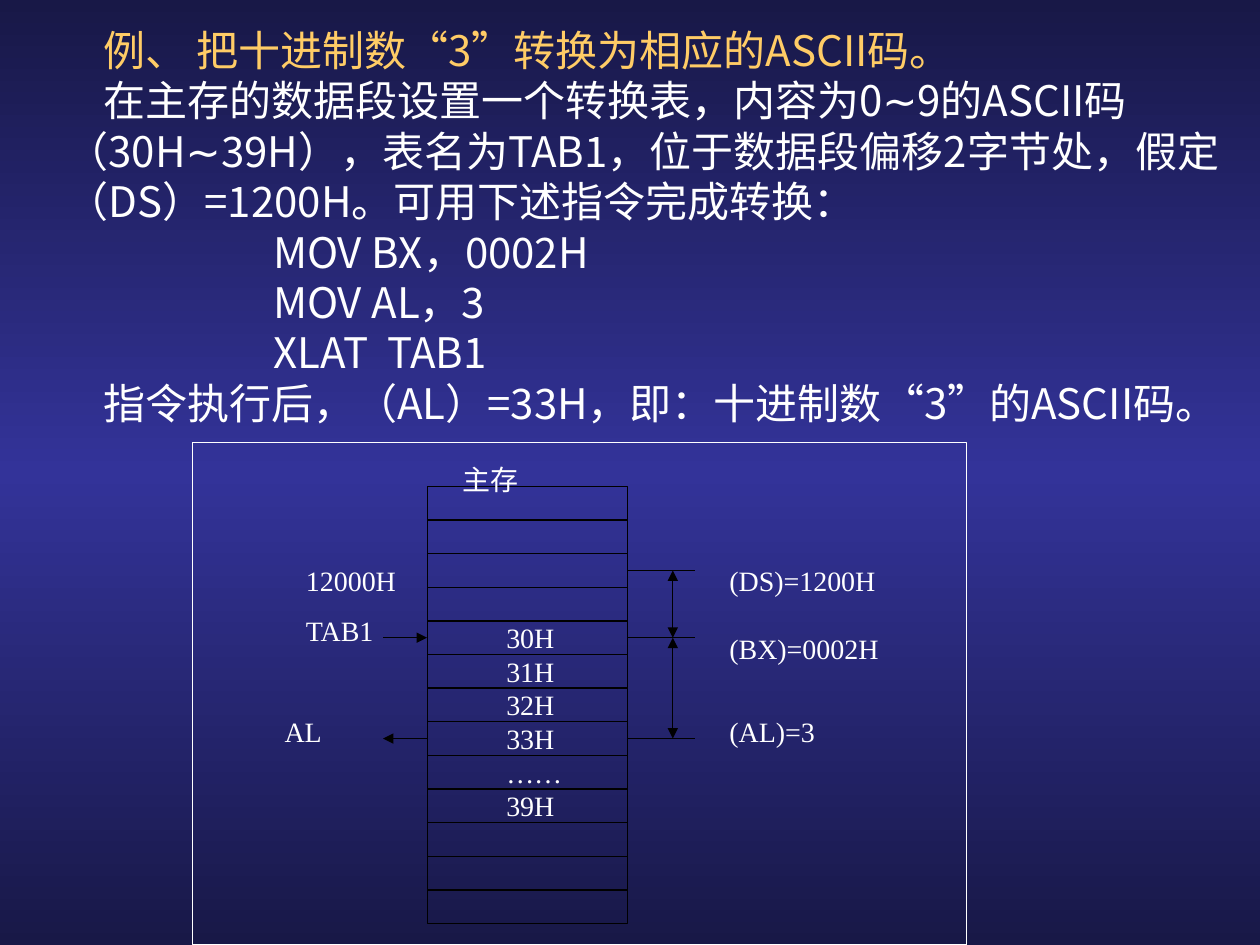
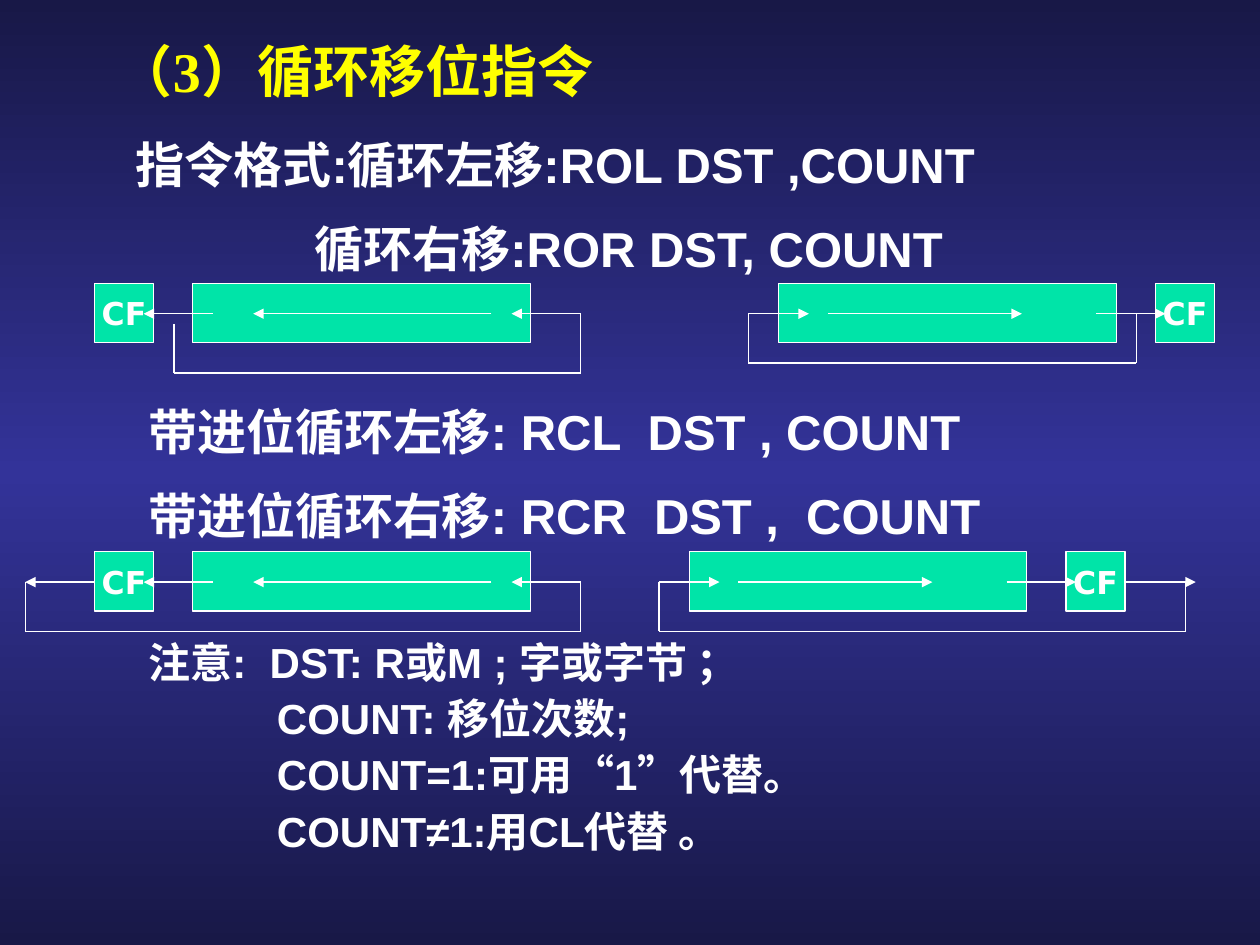
from copy import deepcopy
from itertools import groupby

from lxml.etree import SubElement
from pptx import Presentation
from pptx.dml.color import RGBColor
from pptx.enum.shapes import MSO_CONNECTOR, MSO_SHAPE
from pptx.enum.text import MSO_ANCHOR, PP_ALIGN
from pptx.oxml.ns import qn
from pptx.util import Inches, Pt

NAVY = RGBColor(0x18, 0x18, 0x47)
INDIGO = RGBColor(0x33, 0x33, 0x99)
WHITE = RGBColor(0xFF, 0xFF, 0xFF)
BLACK = RGBColor(0x00, 0x00, 0x00)
GOLD = RGBColor(0xFF, 0xCC, 0x66)
YELLOW = RGBColor(0xFF, 0xFF, 0x00)
GREEN = RGBColor(0x00, 0xE4, 0xA8)

SANS = "Arial"
SERIF = "Times New Roman"
CHINESE = "Noto Sans CJK JP"
LABEL = "DejaVu Sans"
LINE_RATIO = 1.2
LINE_WIDTH = Pt(0.75)

ROW_COUNT = 13
FIRST_VALUE_ROW = 4
TABLE_VALUES = ["30H", "31H", "32H", "33H", "……", "39H"]

RIGHT_ARROWS = [(-0.24, 0.24), (0.39, 1.93), (2.52, 3.07)]
LEFT_ARROWS = [(0.16, -0.39), (2.37, 0.48), (3.08, 2.53)]


def set_background(master):
    fill = master.background.fill
    fill.gradient()
    fill.gradient_angle = 90
    for stop in fill.gradient_stops:
        stop.color.rgb = NAVY
    stop_list = master.element.find(".//" + qn("a:gsLst"))
    stop_list.insert(1, deepcopy(stop_list[0]))
    stops = fill.gradient_stops
    for stop, position in zip(stops, (0, 0.5, 1)):
        stop.position = position
    stops[1].color.rgb = INDIGO


def format_run(run, size, font_name, color, bold=False):
    run.font.size = Pt(size)
    run.font.name = font_name
    run.font.bold = bold
    run.font.color.rgb = color
    east_asian = SubElement(run.font._element, qn("a:ea"))
    east_asian.set("typeface", CHINESE)


def add_text(slide, box, lines, size, font_name, color=WHITE, bold=False,
             indents=None, first_indent=0, space_before=0, line_factor=1,
             quote_font=None):
    text_box = slide.shapes.add_textbox(*map(Inches, box))
    frame = text_box.text_frame
    frame.word_wrap = True
    frame.margin_top = Inches(0.08)
    for index, line in enumerate(lines):
        paragraph = frame.paragraphs[0] if index == 0 else frame.add_paragraph()
        paragraph.line_spacing = Pt(size * LINE_RATIO * line_factor)
        paragraph.space_before = Pt(space_before if index else 0)
        left_indent = indents[index] if indents else 0
        properties = paragraph._p.get_or_add_pPr()
        properties.set("marL", str(Inches(left_indent)))
        properties.set("indent", str(0 if left_indent else Inches(first_indent)))
        for is_quote, characters in groupby(line, lambda letter: letter in "“”"):
            run = paragraph.add_run()
            run.text = "".join(characters)
            name = quote_font if is_quote and quote_font else font_name
            format_run(run, size, name, color, bold)
    return text_box


def add_box(slide, box, line_color, fill_color=None):
    shape = slide.shapes.add_shape(MSO_SHAPE.RECTANGLE, *map(Inches, box))
    shape.shadow.inherit = False
    if fill_color is None:
        shape.fill.background()
    else:
        shape.fill.solid()
        shape.fill.fore_color.rgb = fill_color
    shape.line.color.rgb = line_color
    shape.line.width = LINE_WIDTH
    return shape


def add_line(slide, start, end, color, arrows=()):
    connector = slide.shapes.add_connector(
        MSO_CONNECTOR.STRAIGHT, *map(Inches, (*start, *end)))
    connector.line.color.rgb = color
    connector.line.width = LINE_WIDTH
    line = connector.line._get_or_add_ln()
    for arrow in arrows:
        SubElement(line, qn("a:" + arrow)).set("type", "triangle")
    SubElement(connector._element.spPr, qn("a:effectLst"))


def add_example(slide, box):
    lines = [
        "例、 把十进制数“3”转换为相应的ASCII码。",
        "在主存的数据段设置一个转换表，内容为0∼9的ASCII码（30H∼39H），"
        "表名为TAB1，位于数据段偏移2字节处，假定（DS）=1200H。可用下述指令完成转换：",
        "MOV BX，0002H",
        "MOV AL，3",
        "XLAT  TAB1",
        "指令执行后，（AL）=33H，即：十进制数“3”的ASCII码。",
    ]
    text_box = add_text(slide, box, lines, 24, CHINESE, first_indent=0.29,
                        indents=[0, 0, 1.64, 1.64, 1.64, 0], quote_font=SANS)
    text_box.text_frame.vertical_anchor = MSO_ANCHOR.MIDDLE
    for run in text_box.text_frame.paragraphs[0].runs:
        run.font.color.rgb = GOLD


def add_memory_diagram(slide, box):
    left, top, _, _ = box
    add_box(slide, box, WHITE)
    memory_left, memory_top = left + 1.86, top + 0.35
    memory_width, memory_height = 1.59, 3.47
    memory_right = memory_left + memory_width
    row_height = memory_height / ROW_COUNT
    add_box(slide, (memory_left, memory_top, memory_width, memory_height), BLACK)
    for row in range(1, ROW_COUNT):
        y = memory_top + row * row_height
        add_line(slide, (memory_left, y), (memory_right, y), BLACK)

    segment_y, table_y, result_y = (
        memory_top + rows * row_height for rows in (2.5, 4.5, 7.5))
    pointer_left = memory_left - 0.35
    add_line(slide, (pointer_left, table_y), (memory_left, table_y), BLACK, ["tailEnd"])
    add_line(slide, (memory_left, result_y), (pointer_left, result_y), BLACK, ["tailEnd"])
    for y in (segment_y, table_y, result_y):
        add_line(slide, (memory_right, y), (memory_right + 0.54, y), BLACK)
    span_x = memory_right + 0.36
    for start, end in ((segment_y, table_y), (table_y, result_y)):
        add_line(slide, (span_x, start), (span_x, end), BLACK, ["headEnd", "tailEnd"])

    labels = [
        ("主存", 2.04, 0.08),
        ("12000H", 0.8, 0.88),
        ("TAB1", 0.8, 1.28),
        ("AL", 0.63, 2.08),
        ("(DS)=1200H", 4.16, 0.88),
        ("(BX)=0002H", 4.16, 1.42),
        ("(AL)=3", 4.16, 2.08),
    ]
    for label, x, y in labels:
        add_text(slide, (left + x, top + y, 1.59, 0.4), [label], 16, SERIF)
    values_top = memory_top + FIRST_VALUE_ROW * row_height - 0.08
    add_text(slide, (memory_left + 0.53, values_top, 1.24, 1.87),
             TABLE_VALUES, 16, SERIF)


def add_rotation(slide, left, top, carry_x, arrows, loop, depth=0.39, loop_gap=0):
    add_box(slide, (left, top, 2.68, 0.47), WHITE, GREEN)
    carry = add_box(slide, (left + carry_x, top, 0.47, 0.47), WHITE, GREEN)
    frame = carry.text_frame
    frame.word_wrap = False
    frame.vertical_anchor = MSO_ANCHOR.MIDDLE
    frame.text = "CF"
    frame.paragraphs[0].alignment = PP_ALIGN.CENTER
    format_run(frame.paragraphs[0].runs[0], 18, LABEL, WHITE, True)

    middle = top + 0.24
    bottom = middle + depth
    loop_left, loop_right = (left + x for x in loop)
    for start, end in arrows:
        add_line(slide, (left + start, middle), (left + end, middle), WHITE, ["tailEnd"])
    add_line(slide, (loop_left, middle + loop_gap), (loop_left, bottom), WHITE)
    add_line(slide, (loop_left, bottom), (loop_right, bottom), WHITE)
    add_line(slide, (loop_right, bottom), (loop_right, middle), WHITE)


def build_table_lookup(slide):
    add_example(slide, (0.43, 0.13, 9.57, 3.3))
    add_memory_diagram(slide, (1.53, 3.51, 6.14, 3.99))


def build_rotate_instructions(slide):
    heading = {"size": 28, "font_name": SANS, "bold": True, "space_before": 14}
    add_text(slide, (1.08, 3.11, 8, 1.27),
             ["带进位循环左移: RCL  DST , COUNT",
              "带进位循环右移: RCR  DST ,  COUNT"], **heading)
    add_text(slide, (1.08, 5.09, 7.67, 1.82),
             ["注意:  DST: R或M ; 字或字节 ；", "COUNT: 移位次数;",
              "COUNT=1:可用“1”代替。", "COUNT≠1:用CL代替 。"],
             24, SANS, bold=True, indents=[0, 1.02, 1.02, 1.02],
             space_before=12, line_factor=0.7)
    add_text(slide, (0.83, 0.21, 5.67, 0.63), ["（3）循环移位指令"],
             32, SERIF, YELLOW, True)
    add_text(slide, (0.98, 0.99, 7.83, 1.27),
             ["指令格式:循环左移:ROL DST ,COUNT", "循环右移:ROR DST, COUNT"],
             indents=[0, 1.42], **heading)

    add_rotation(slide, 6.18, 2.25, 2.99, RIGHT_ARROWS, (-0.24, 2.84))
    add_rotation(slide, 1.53, 2.25, -0.78, LEFT_ARROWS, (-0.15, 3.08), 0.47, 0.08)
    add_rotation(slide, 1.53, 4.38, -0.78, LEFT_ARROWS + [(-0.78, -1.33)], (-1.33, 3.08))
    add_rotation(slide, 5.47, 4.38, 2.99, RIGHT_ARROWS + [(3.47, 4.02)], (-0.24, 3.94))


def main():
    presentation = Presentation()
    presentation.slide_width = Inches(10)
    presentation.slide_height = Inches(7.5)
    set_background(presentation.slide_master)
    blank_layout = presentation.slide_layouts[6]
    for build in (build_table_lookup, build_rotate_instructions):
        build(presentation.slides.add_slide(blank_layout))
    presentation.save("out.pptx")


if __name__ == "__main__":
    main()
